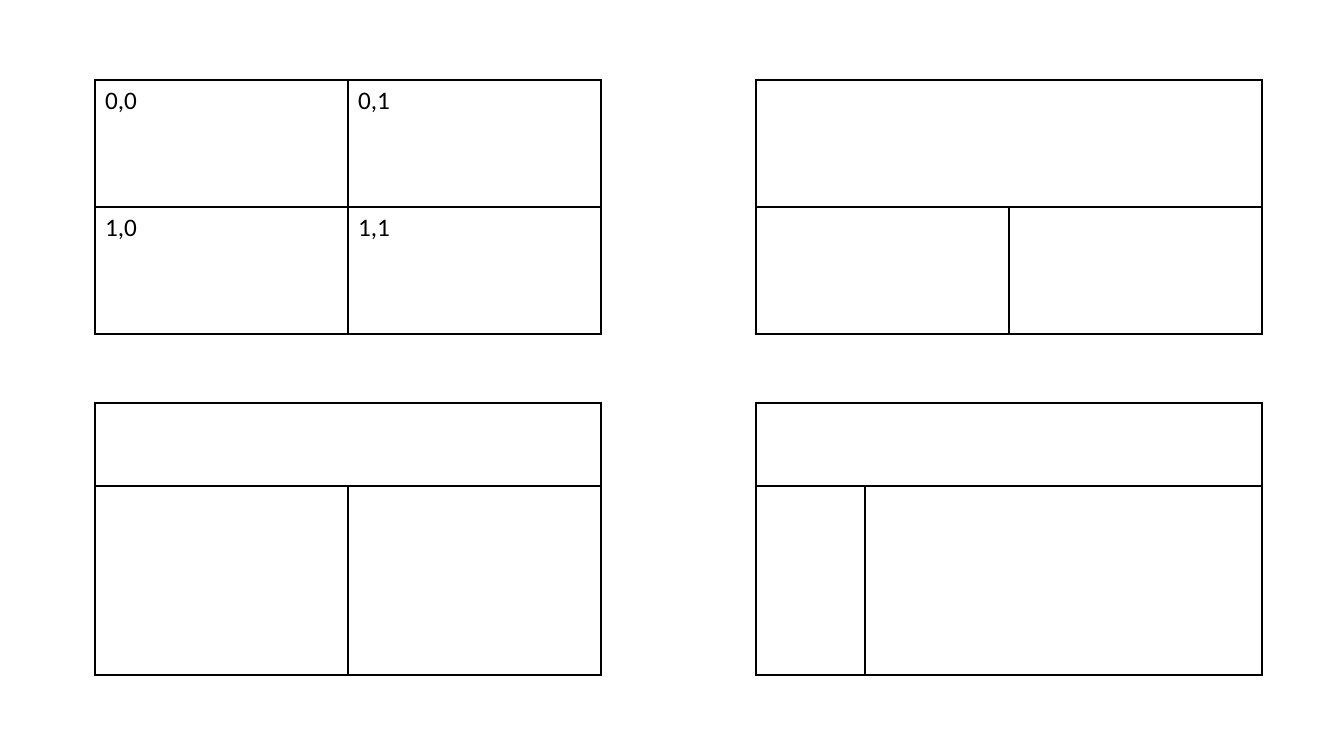
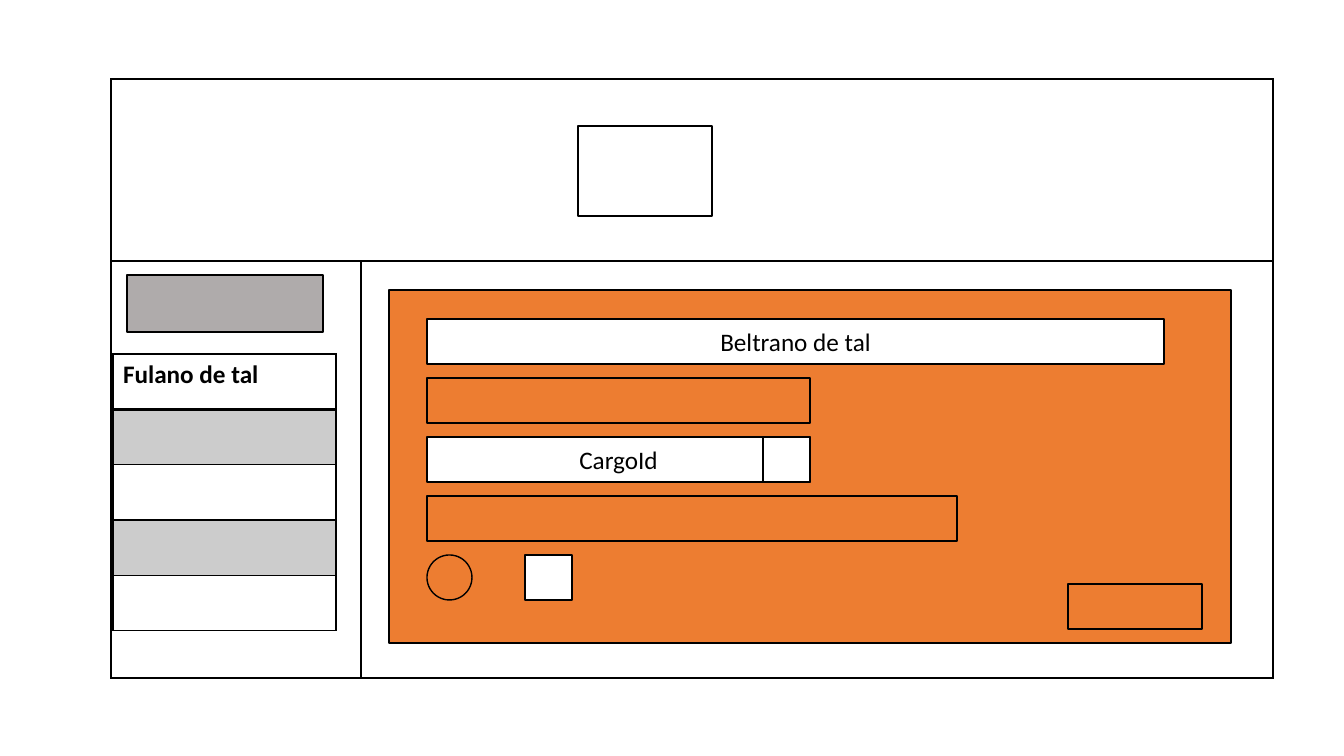
from dataclasses import dataclass

from lxml import etree
from pptx import Presentation
from pptx.dml.color import RGBColor
from pptx.enum.shapes import MSO_SHAPE
from pptx.enum.text import MSO_ANCHOR, PP_ALIGN
from pptx.oxml.ns import qn
from pptx.util import Pt

EMU_PER_PIXEL = 914400 / 100.8
BLANK_LAYOUT = 6
RECTANGLE, ELLIPSE = MSO_SHAPE.RECTANGLE, MSO_SHAPE.OVAL
LEFT, CENTER = PP_ALIGN.LEFT, PP_ALIGN.CENTER
TOP, MIDDLE = MSO_ANCHOR.TOP, MSO_ANCHOR.MIDDLE


@dataclass(frozen=True)
class Theme:
    """Colours, font and sizes shared by the slides."""
    ink: str = "000000"
    paper: str = "FFFFFF"
    panel: str = "ED7D31"
    button: str = "AFABAB"
    stripe_percent: int = 20
    font: str = "Calibri"
    text_size: int = 18
    line_width: int = 1
    heavy_line: int = 2


def emu(pixels):
    """Turn pixels into EMU."""
    return round(pixels * EMU_PER_PIXEL)


def add_alpha(cell, percent):
    """Make the solid fill of a cell partly transparent."""
    color = cell._tc.tcPr.find(qn("a:solidFill"))[0]
    etree.SubElement(color, qn("a:alpha"), val=str(percent * 1000))


class Wireframe:
    """Holds the theme and the slide being drawn."""

    def __init__(self, theme):
        """Start an empty presentation."""
        self.theme = theme
        self.presentation = Presentation()
        self.presentation.slide_width = emu(1344)
        self.presentation.slide_height = emu(756)
        self.slide = None

    def new_slide(self):
        """Add a blank slide and make it current."""
        layout = self.presentation.slide_layouts[BLANK_LAYOUT]
        self.slide = self.presentation.slides.add_slide(layout)

    def add_text(self, frame, text, bold=False, align=LEFT):
        """Put one formatted paragraph into a text frame."""
        paragraph = frame.paragraphs[0]
        paragraph.alignment = align
        run = paragraph.add_run()
        run.text = text
        run.font.name = self.theme.font
        run.font.size = Pt(self.theme.text_size)
        run.font.bold = bold
        run.font.color.rgb = RGBColor.from_string(self.theme.ink)

    def paint(self, fill, color=None):
        """Fill with a colour, or leave empty."""
        if color is None:
            fill.background()
        else:
            fill.solid()
            fill.fore_color.rgb = RGBColor.from_string(color)

    def box(self, left, top, width, height, fill=None, text=None, kind=RECTANGLE):
        """Draw an outlined shape with optional centred text."""
        shape = self.slide.shapes.add_shape(
            kind, emu(left), emu(top), emu(width), emu(height))
        shape.shadow.inherit = False
        self.paint(shape.fill, fill)
        shape.line.color.rgb = RGBColor.from_string(self.theme.ink)
        shape.line.width = Pt(self.theme.line_width)
        if text:
            shape.text_frame.vertical_anchor = MIDDLE
            self.add_text(shape.text_frame, text, align=CENTER)

    def border(self, cell, bottom_width):
        """Outline the four sides of a cell."""
        properties = cell._tc.get_or_add_tcPr()
        for index, side in enumerate(("lnL", "lnR", "lnT", "lnB")):
            width = bottom_width if side == "lnB" else self.theme.line_width
            line = etree.Element(qn("a:" + side), w=str(int(Pt(width))))
            solid = etree.SubElement(line, qn("a:solidFill"))
            etree.SubElement(solid, qn("a:srgbClr"), val=self.theme.ink)
            properties.insert(index, line)

    def grid(self, left, top, columns, rows, texts=None, merge_top=False,
             striped=False, bold=False, heavy_header=False):
        """Draw a bordered table from column widths and row heights."""
        table = self.slide.shapes.add_table(
            len(rows), len(columns), emu(left), emu(top),
            emu(sum(columns)), emu(sum(rows))).table
        table.first_row = table.horz_banding = False
        for column, width in zip(table.columns, columns):
            column.width = emu(width)
        for row, height in zip(table.rows, rows):
            row.height = emu(height)
        for row_index in range(len(rows)):
            for column_index in range(len(columns)):
                cell = table.cell(row_index, column_index)
                cell.vertical_anchor = TOP
                if striped and row_index % 2:
                    self.paint(cell.fill, self.theme.ink)
                    add_alpha(cell, self.theme.stripe_percent)
                else:
                    self.paint(cell.fill)
                heavy = heavy_header and row_index == 0
                self.border(cell, self.theme.heavy_line if heavy
                            else self.theme.line_width)
                text = (texts or {}).get((row_index, column_index))
                if text:
                    self.add_text(cell.text_frame, text, bold=bold)
        if merge_top:
            table.cell(0, 0).merge(table.cell(0, len(columns) - 1))


def draw_layouts(wireframe):
    """Four small page grids."""
    wireframe.new_slide()
    left, right, upper, lower = 95, 756, 80, 403
    halves, even_rows, header_rows = (253, 253), (127, 127), (83, 189)
    coordinates = {(row, column): f"{row},{column}"
                   for row in range(2) for column in range(2)}
    wireframe.grid(left, upper, halves, even_rows, texts=coordinates)
    wireframe.grid(right, upper, halves, even_rows, merge_top=True)
    wireframe.grid(left, lower, halves, header_rows, merge_top=True)
    wireframe.grid(right, lower, (109, 397), header_rows, merge_top=True)


def draw_form(wireframe):
    """A page with header, side list and data form."""
    theme = wireframe.theme
    wireframe.new_slide()
    wireframe.grid(111, 79, (250, 912), (182, 417), merge_top=True)
    wireframe.box(578, 126, 134, 90)

    wireframe.box(127, 275, 196, 57, fill=theme.button)
    list_height, list_count = 277, 5
    wireframe.grid(113, 354, (223,), (list_height / list_count,) * list_count,
                   texts={(0, 0): "Fulano de tal"}, striped=True, bold=True,
                   heavy_header=True)

    wireframe.box(389, 290, 842, 353, fill=theme.panel)
    field_left, field_top, pitch, height, square = 427, 319, 59, 45, 47
    short_field = 383
    fields = [(737, theme.paper, "Beltrano de tal"), (short_field, None, None),
              (short_field, theme.paper, "CargoId"), (530, None, None)]
    for index, (width, fill, text) in enumerate(fields):
        wireframe.box(field_left, field_top + index * pitch, width, height,
                      fill=fill, text=text)
    wireframe.box(field_left + short_field - square, field_top + 2 * pitch,
                  square, height)
    options_top = field_top + len(fields) * pitch
    wireframe.box(field_left, options_top, height, height, kind=ELLIPSE)
    wireframe.box(525, options_top, square, height, fill=theme.paper)
    wireframe.box(1068, 584, 134, height)


def main():
    """Build and save the presentation."""
    wireframe = Wireframe(Theme())
    draw_layouts(wireframe)
    draw_form(wireframe)
    wireframe.presentation.save("out.pptx")


main()
